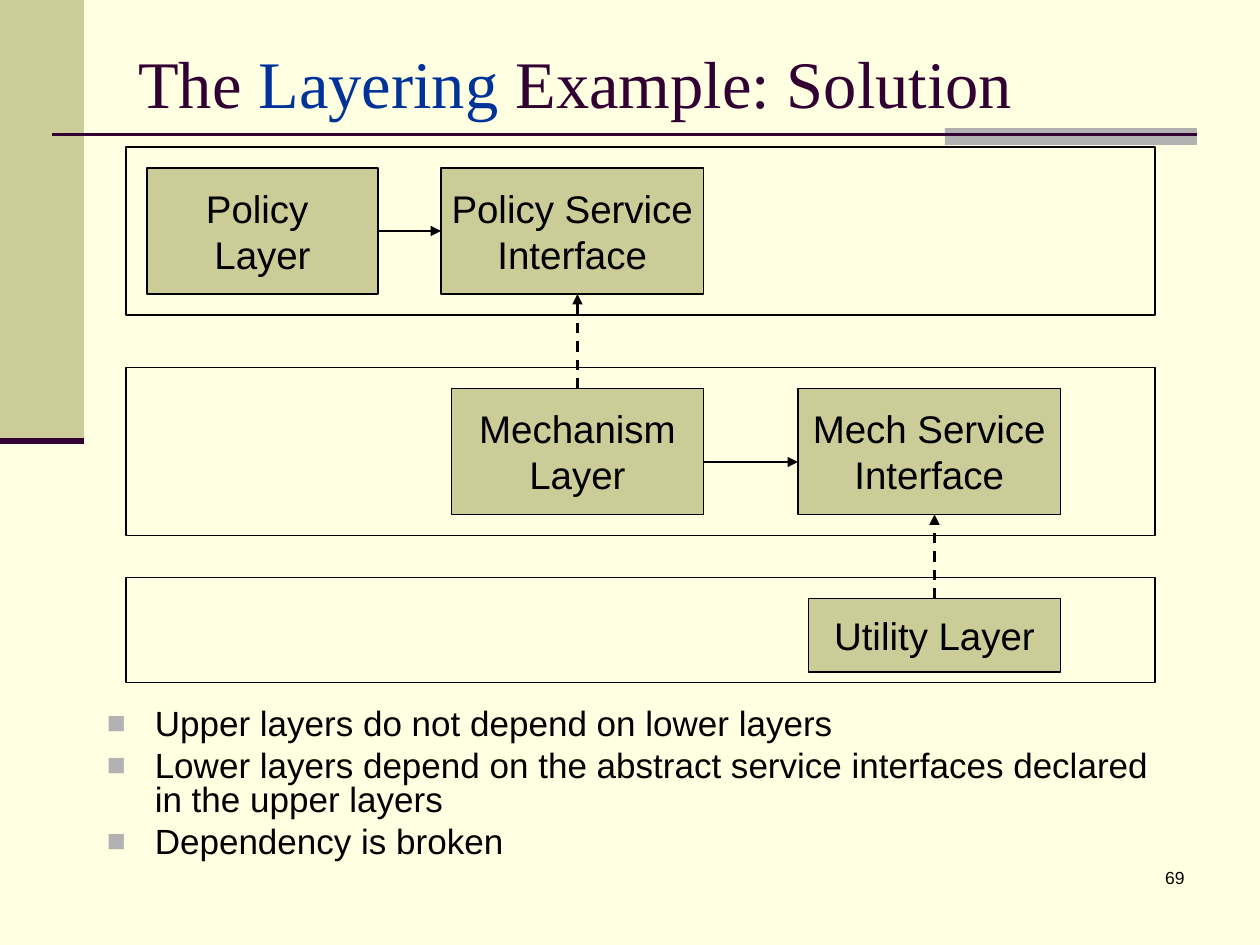
import pptx
import pptx.util
import pptx.dml.color
import pptx.enum.dml
import pptx.enum.shapes
import pptx.enum.text
import pptx.oxml.ns
import lxml.etree

RGB = pptx.dml.color.RGBColor
CREAM = RGB(0xFF, 0xFF, 0xE1)
KHAKI = RGB(0xCC, 0xCC, 0x99)
GREY = RGB(0xB2, 0xB2, 0xB2)
PLUM = RGB(0x33, 0x00, 0x33)
BLUE = RGB(0x00, 0x33, 0x99)
BLACK = RGB(0, 0, 0)

ALIGN = pptx.enum.text.PP_ALIGN
ANCHOR = pptx.enum.text.MSO_ANCHOR
RECT = pptx.enum.shapes.MSO_SHAPE.RECTANGLE
STRAIGHT = pptx.enum.shapes.MSO_CONNECTOR.STRAIGHT
DASH = pptx.enum.dml.MSO_LINE.DASH

COLS, ROWS = 120, 90
TITLE = [("The ", PLUM), ("Layering", BLUE), (" Example: Solution", PLUM)]
POINTS = [
    "Upper layers do not depend on lower layers",
    "Lower layers depend on the abstract service interfaces declared in the upper layers",
    "Dependency is broken",
]
PAGE = "69"
BOXES = {
    "policy": (["Policy ", "Layer"], (14, 16, 22, 12)),
    "mech": (["Mechanism", "Layer"], (43, 37, 24, 12)),
    "util": (["Utility Layer"], (77, 57, 24, 7)),
    "policy face": (["Policy Service", "Interface"], (42, 16, 25, 12)),
    "mech face": (["Mech Service", "Interface"], (76, 37, 25, 12)),
}
FRAMES = [(14, 16), (35, 16), (55, 10)]
CALLS = [("policy", "policy face", 22), ("mech", "mech face", 44)]
NEEDS = [("mech", "policy face"), ("util", "mech face")]

deck = pptx.Presentation()
deck.slide_width = pptx.util.Inches(10)
deck.slide_height = pptx.util.Inches(7.5)
slide = deck.slides.add_slide(deck.slide_layouts[6])
slide.background.fill.solid()
slide.background.fill.fore_color.rgb = CREAM


def grid(*cells):
    return [round(cell * deck.slide_width / COLS) for cell in cells]


def add_tag(parent, tag, **attrs):
    node = lxml.etree.SubElement(parent, pptx.oxml.ns.qn(tag))
    for key, val in attrs.items():
        node.set(key, val)
    return node


def write(shape, paras, size=22, font="Arial", color=BLACK, align=ALIGN.LEFT,
          anchor=ANCHOR.TOP, wrap=True, bullet=None, space=0, lead=None):
    frame = shape.text_frame
    frame.word_wrap = wrap
    frame.vertical_anchor = anchor
    for i, runs in enumerate(paras):
        para = frame.add_paragraph() if i else frame.paragraphs[0]
        para.alignment = align
        if bullet:
            props = para._p.get_or_add_pPr()
            dent = pptx.util.Inches(0.38)
            props.set("marL", str(dent))
            props.set("indent", str(-dent))
            add_tag(add_tag(props, "a:buClr"), "a:srgbClr", val=str(GREY))
            add_tag(props, "a:buSzPct", val="90000")
            add_tag(props, "a:buFont", typeface=font)
            add_tag(props, "a:buChar", char=bullet)
        if lead:
            para.line_spacing = lead
        if i and space:
            para.space_before = pptx.util.Pt(space)
        for text, shade in [(runs, color)] if isinstance(runs, str) else runs:
            run = para.add_run()
            run.text = text
            run.font.size = pptx.util.Pt(size)
            run.font.name = font
            run.font.color.rgb = shade


def add_rect(place, fill=None, line=None):
    shape = slide.shapes.add_shape(RECT, *grid(*place))
    shape.shadow.inherit = False
    if fill is None:
        shape.fill.background()
    else:
        shape.fill.solid()
        shape.fill.fore_color.rgb = fill
    if line is None:
        shape.line.fill.background()
    else:
        shape.line.color.rgb = line
        shape.line.width = pptx.util.Pt(0.75)
    return shape


def add_line(ends, color=BLACK, width=1.5, dash=None, arrow=False):
    line = slide.shapes.add_connector(STRAIGHT, *grid(*ends))
    line.line.color.rgb = color
    line.line.width = pptx.util.Pt(width)
    if dash:
        line.line.dash_style = dash
    if arrow:
        add_tag(line.line._get_or_add_ln(), "a:tailEnd", type="triangle")
    add_tag(line._element.spPr, "a:effectLst")


def add_text(place, paras, **style):
    write(slide.shapes.add_textbox(*grid(*place)), paras, **style)


add_rect((0, 0, 8, 42), KHAKI)
add_rect((90, 12.2, 24, 1.6), GREY)
add_line((5, 12.8, 114, 12.8), PLUM)
add_line((0, 42, 8, 42), PLUM, 3.5)

add_text((89, 82, 25, 6), [PAGE], size=10, align=ALIGN.RIGHT)
add_text((12, 3.6, 102, 8.4), [TITLE], size=38, font="Times New Roman",
         anchor=ANCHOR.MIDDLE)

for label, place in BOXES.values():
    write(add_rect(place, KHAKI, BLACK), label, align=ALIGN.CENTER,
          anchor=ANCHOR.MIDDLE, wrap=False)
for top, high in FRAMES:
    add_rect((12, top, 98, high), line=BLACK)

for user, face, row in CALLS:
    left, _, wide, _ = BOXES[user][1]
    add_line((left + wide, row, BOXES[face][1][0], row), arrow=True)
for user, face in NEEDS:
    left, top, wide, _ = BOXES[user][1]
    mid = left + wide / 2
    _, roof, _, high = BOXES[face][1]
    add_line((mid, top, mid, roof + high), dash=DASH, arrow=True)

add_text((9, 67, 105, 16), POINTS, size=20, bullet="■", space=5, lead=0.8)

deck.save("out.pptx")
